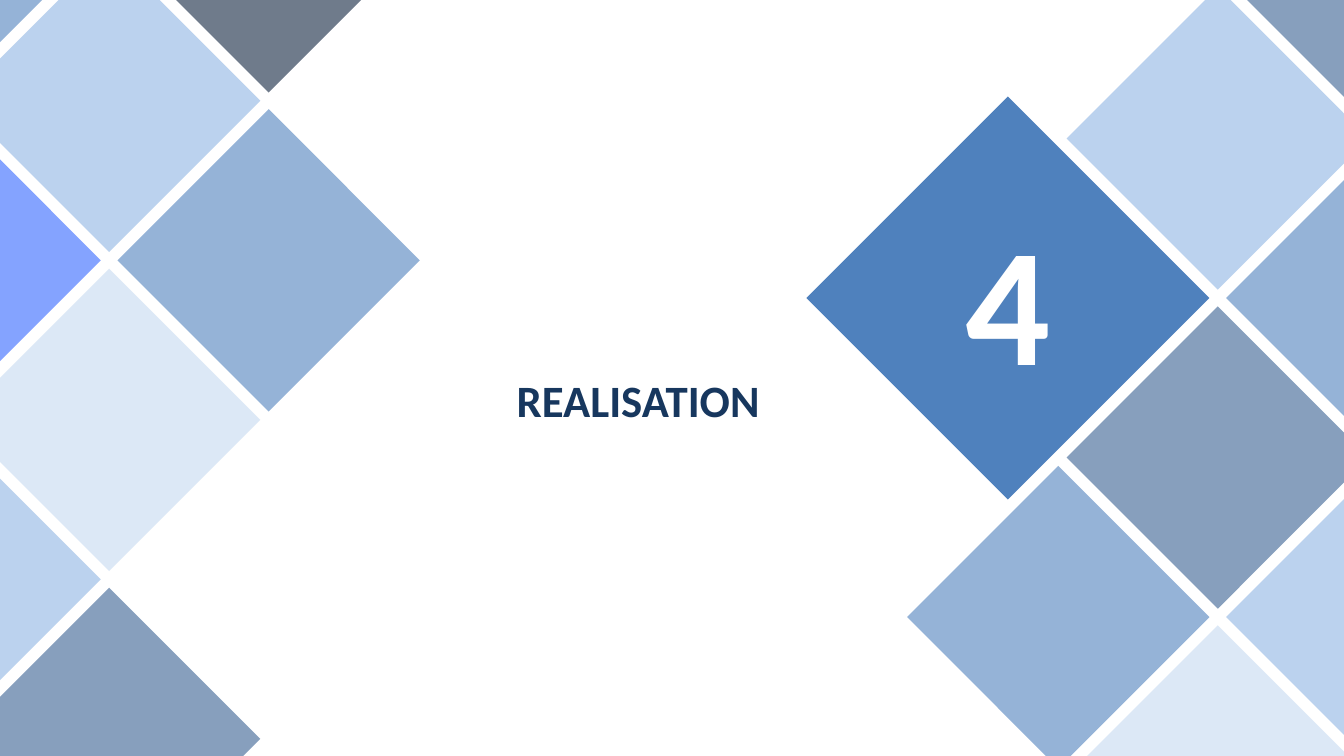
from lxml import etree
from pptx import Presentation
from pptx.dml.color import RGBColor
from pptx.enum import shapes, text
from pptx.oxml.ns import qn
from pptx.util import Cm, Pt

TITLE = "REALISATION"
NUMBER = "4"
NAVY, STEEL, BLUE, SKY, PALE, VIOLET = (
    "0F243E", "376092", "4F81BD", "8EB4E3", "C6D9F1", "3366FF")

LEFT_TILES = [
    (1, 5, STEEL), (1, 3, PALE), (0, 4, SKY), (2, 2, BLUE),
    (0, 0, BLUE), (2, 0, NAVY), (0, 2, VIOLET), (1, 1, SKY),
]
RIGHT_TILES = [
    (1, 1, SKY), (1, 3, STEEL), (2, 2, BLUE), (0, 4, BLUE),
    (2, 4, SKY), (1, 5, PALE), (2, 0, STEEL),
]
MOSAICS = [
    (-5.08, -5.29, 180, LEFT_TILES),
    (22.86, -4.34, 0, RIGHT_TILES),
]
TILE = 7.62
STEP = 4.02
OPACITY = 60


def color(hex_value):
    return RGBColor.from_string(hex_value)


def add_diamond(slide, left, top, size, fill):
    diamond = slide.shapes.add_shape(
        shapes.MSO_SHAPE.DIAMOND, Cm(left), Cm(top), Cm(size), Cm(size))
    diamond.shadow.inherit = False
    diamond.fill.solid()
    diamond.fill.fore_color.rgb = color(fill)
    diamond.line.fill.background()
    return diamond


def set_opacity(shape, percent):
    fill = shape._element.spPr.find(qn("a:solidFill"))
    etree.SubElement(fill[0], qn("a:alpha"), val=str(percent * 1000))


def write(shape, words, size, hex_value):
    frame = shape.text_frame
    frame.word_wrap = True
    frame.vertical_anchor = text.MSO_ANCHOR.MIDDLE
    frame.text = words
    para = frame.paragraphs[0]
    para.alignment = text.PP_ALIGN.CENTER
    font = para.runs[0].font
    font.name = "Calibri"
    font.size = Pt(size)
    font.bold = True
    font.color.rgb = color(hex_value)


def main():
    deck = Presentation()
    deck.slide_width, deck.slide_height = Cm(33.87), Cm(19.05)
    slide = deck.slides.add_slide(deck.slide_layouts[6])

    for left, top, rotation, tiles in MOSAICS:
        for column, row, fill in tiles:
            tile = add_diamond(
                slide, left + column * STEP, top + row * STEP, TILE, fill)
            tile.rotation = rotation
            set_opacity(tile, OPACITY)

    badge = add_diamond(slide, 20.32, 2.43, 10.16, BLUE)
    write(badge, NUMBER, 120, "FFFFFF")

    title = slide.shapes.add_textbox(Cm(6.77), Cm(7.52), Cm(18.63), Cm(5.08))
    write(title, TITLE, 32, "17375E")

    deck.save("out.pptx")


if __name__ == "__main__":
    main()
